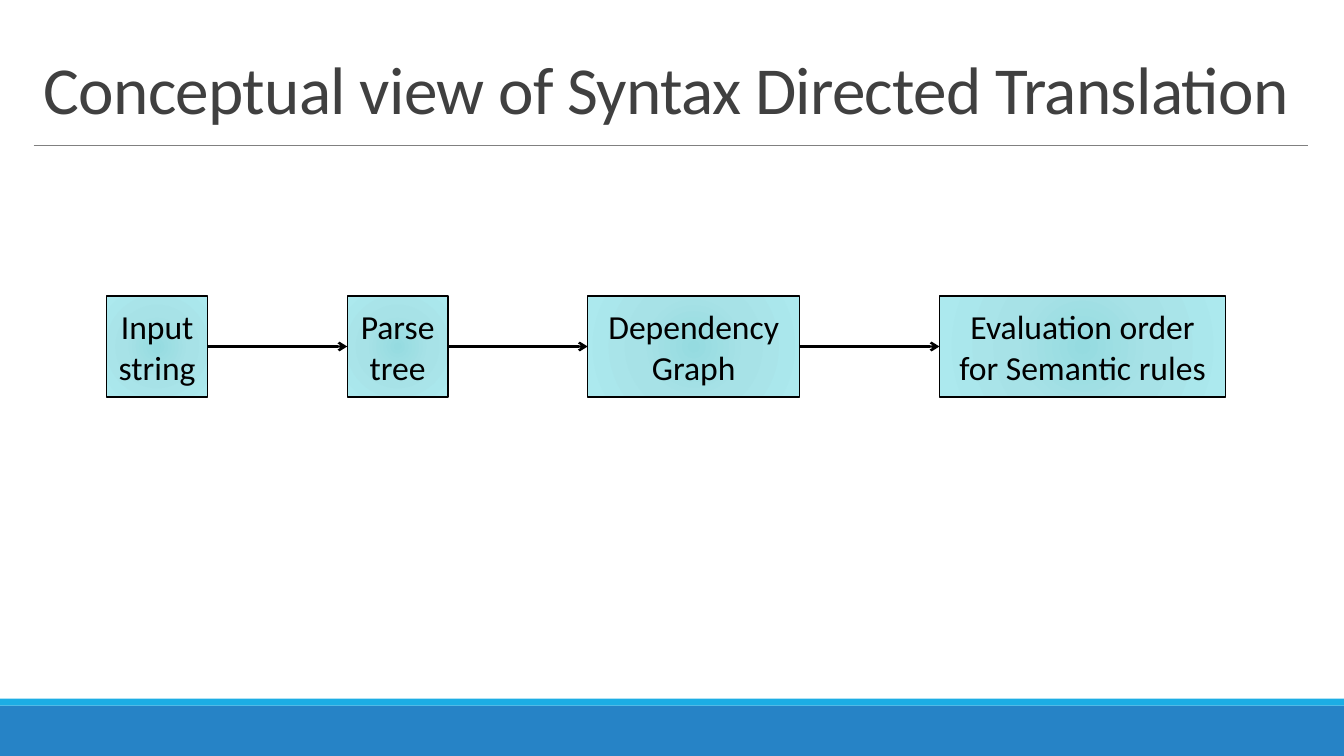
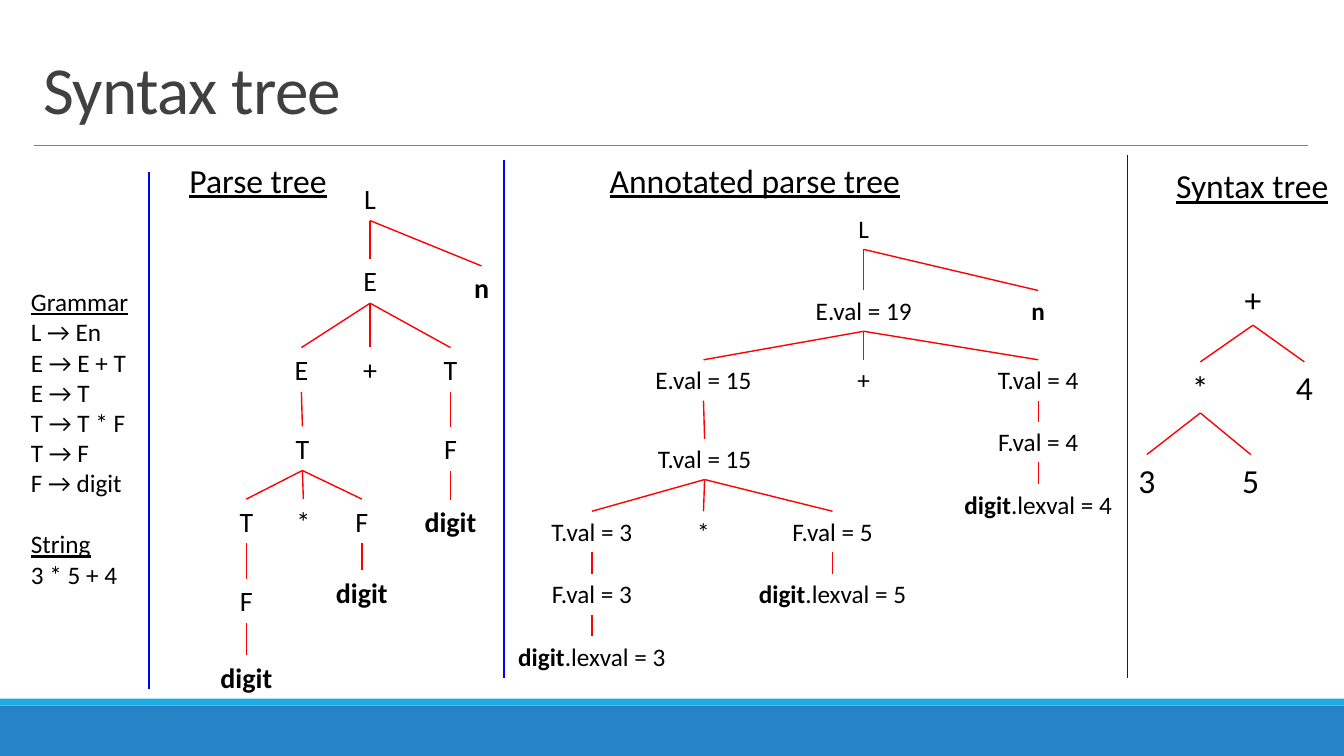
from dataclasses import dataclass

from lxml.etree import SubElement
from pptx import Presentation
from pptx.dml.color import RGBColor
from pptx.enum.shapes import MSO_CONNECTOR, MSO_SHAPE
from pptx.enum.text import MSO_ANCHOR, MSO_AUTO_SIZE, PP_ALIGN
from pptx.oxml import parse_xml
from pptx.oxml.ns import nsdecls, qn
from pptx.util import Pt

FONT = "Calibri"
BLACK, GREY, RULE_GREY = "000000", "404040", "808080"
BAND_BLUE, BAND_CYAN = "2683C6", "1CADE4"
EDGE_RED, DIVIDER_BLUE = "FF0000", "0000FF"
STAGE_STOPS = [(0, "95DBE0"), (45, "A7E2E7"), (100, "ACE9EE")]
TERMINALS = ("n", "digit")
TOP, LEFT, BOTTOM, RIGHT = range(4)
WIDTH, HEIGHT = 960, 540


@dataclass
class Node:
    label: str
    centre: float
    top: float
    children: tuple = ()


PARSE_TREE = Node("L", 264.4, 126, (
    Node("E", 264.4, 185, (
        Node("E", 215.3, 248.3, (
            Node("T", 216, 304.5, (
                Node("T", 176, 356.5, (
                    Node("F", 176, 413.3, (Node("digit", 176, 468),)),)),
                Node("*", 216.7, 356.5),
                Node("F", 258.5, 356.5, (Node("digit", 258.5, 407.5),)))),)),
        Node("+", 264.4, 248),
        Node("T", 321.8, 248.3, (
            Node("F", 321.8, 305, (Node("digit", 321.8, 357),)),)))),
    Node("n", 344, 190)))

ANNOTATED_TREE = Node("L", 617, 149, (
    Node("E.val = 19", 617, 207.5, (
        Node("E.val = 15", 502.5, 257, (
            Node("T.val = 15", 503.3, 313.4, (
                Node("T.val = 3", 422.8, 365.2, (
                    Node("F.val = 3", 422.8, 409.8, (
                        Node("digit.lexval = 3", 422.8, 454.2),)),)),
                Node("*", 502.5, 365.2),
                Node("F.val = 5", 594.7, 365.2, (
                    Node("digit.lexval = 5", 594.7, 409.8),)))),)),
        Node("+", 617, 257),
        Node("T.val = 4", 741.6, 257, (
            Node("F.val = 4", 741.6, 301.2, (
                Node("digit.lexval = 4", 741.6, 345.8),)),)))),
    Node("n", 741.6, 207.5)))

SYNTAX_TREE = Node("+", 895, 195.8, (
    Node("*", 857.4, 258.5, (
        Node("3", 819.2, 324.7),
        Node("5", 893.4, 324.7))),
    Node("4", 931.7, 258.5)))


def colour(code):
    return RGBColor.from_string(code)


def add_span(para, text, size, code=BLACK, bold=False, underline=False):
    span = para.add_run()
    span.text = text
    font = span.font
    font.name, font.size = FONT, Pt(size)
    font.bold, font.underline = bold, underline
    font.color.rgb = colour(code)
    return span


def add_text_box(page, left, top, width, height, wrap=True):
    box = page.shapes.add_textbox(Pt(left), Pt(top), Pt(width), Pt(height))
    box.text_frame.word_wrap = wrap
    box.text_frame.auto_size = MSO_AUTO_SIZE.SHAPE_TO_FIT_TEXT
    return box


def line_height(size):
    return round(size * 1.22, 2)


def box_height(size):
    return line_height(size) + 7.2


def add_line(page, start=(0, 0), end=(0, 0), code=BLACK, width=1):
    line = page.shapes.add_connector(
        MSO_CONNECTOR.STRAIGHT, *(Pt(value) for value in (*start, *end)))
    line.line.color.rgb = colour(code)
    line.line.width = Pt(width)
    SubElement(line.element.spPr, qn("a:effectLst"))
    return line


def join(line, first, first_side, second, second_side):
    line.begin_connect(first, first_side)
    line.end_connect(second, second_side)


def add_rectangle(page, left, top, width, height):
    box = page.shapes.add_shape(
        MSO_SHAPE.RECTANGLE, Pt(left), Pt(top), Pt(width), Pt(height))
    box.shadow.inherit = False
    return box


def add_band(page, top, height, code):
    band = add_rectangle(page, 0, top, WIDTH, height)
    band.fill.solid()
    band.fill.fore_color.rgb = colour(code)
    band.line.fill.background()
    return band


def decorate_layout(layout, page):
    for holder in list(layout.placeholders)[1:]:
        layout.shapes.element.remove(holder.element)
    shared = [
        add_band(page, 504, 36, BAND_BLUE),
        add_band(page, 499, 5, BAND_CYAN),
        add_line(page, (24, 103.5), (934, 103.5), RULE_GREY, 0.5),
    ]
    for shape in shared:
        layout.shapes.element.append(shape.element)


def add_title(page, text):
    title = page.shapes.title
    title.left, title.top, title.width, title.height = (
        Pt(value) for value in (24, 22.3, 910, 72.7))
    frame = title.text_frame
    frame.word_wrap = True
    frame.auto_size = MSO_AUTO_SIZE.NONE
    frame.vertical_anchor = MSO_ANCHOR.BOTTOM
    para = frame.paragraphs[0]
    para.alignment = PP_ALIGN.LEFT
    para.line_spacing = 0.85
    span = add_span(para, text, 48, GREY)
    span.font._element.set("spc", "-50")


def fill_radial(box, stops):
    marks = "".join(
        f'<a:gs pos="{place * 1000}"><a:srgbClr val="{code}"/></a:gs>'
        for place, code in stops)
    gradient = parse_xml(
        f'<a:gradFill {nsdecls("a")} rotWithShape="1"><a:gsLst>{marks}</a:gsLst>'
        '<a:path path="circle"><a:fillToRect l="100000" t="100000" '
        'r="100000" b="100000"/></a:path></a:gradFill>')
    box.fill.gradient()
    properties = box.element.spPr
    properties.replace(properties.find(qn("a:gradFill")), gradient)


def add_stage(page, left, width, lines):
    box = add_rectangle(page, left, 211.5, width, 72)
    fill_radial(box, STAGE_STOPS)
    box.line.color.rgb = colour(BLACK)
    box.line.width = Pt(1)
    frame = box.text_frame
    frame.word_wrap = True
    frame.vertical_anchor = MSO_ANCHOR.MIDDLE
    for index, text in enumerate(lines):
        para = frame.add_paragraph() if index else frame.paragraphs[0]
        para.alignment = PP_ALIGN.CENTER
        add_span(para, text, 24)
    return box


def add_arrow(page, first, second):
    arrow = add_line(page, width=1.75)
    join(arrow, first, RIGHT, second, LEFT)
    SubElement(arrow.element.spPr.find(qn("a:ln")), qn("a:tailEnd"), type="arrow")


def add_tree(page, node, size, width):
    box = add_text_box(
        page, node.centre - width / 2, node.top, width, box_height(size))
    para = box.text_frame.paragraphs[0]
    para.alignment = PP_ALIGN.CENTER
    word, dot, value = node.label.partition(".")
    if word in TERMINALS:
        add_span(para, word, size, bold=True)
        if dot:
            add_span(para, dot + value, size)
    else:
        add_span(para, node.label, size)
    for child in node.children:
        child_box = add_tree(page, child, size, width)
        join(add_line(page, code=EDGE_RED), box, BOTTOM, child_box, TOP)
    return box


def add_heading(page, text, left, top, width):
    box = add_text_box(page, left, top, width, box_height(24), wrap=False)
    add_span(box.text_frame.paragraphs[0], text, 24, underline=True)


def add_grammar(page, sections):
    size = 18
    frame = add_text_box(page, 15, 201, 85, 225.4, wrap=False).text_frame
    para = frame.paragraphs[0]
    for index, (heading, lines) in enumerate(sections):
        if index:
            para = frame.add_paragraph()
            para.space_before = Pt(line_height(size))
        add_span(para, heading, size, underline=True)
        for text in lines:
            add_span(frame.add_paragraph(), text, size)


def build_concept_page(page):
    add_title(page, "Conceptual view of Syntax Directed Translation")
    stages = [
        (72, ("Input", "string")),
        (72, ("Parse", "tree")),
        (151.5, ("Dependency", "Graph")),
        (204.5, ("Evaluation order", "for Semantic rules")),
    ]
    left, gap = 76.3, 99.75
    boxes = []
    for width, lines in stages:
        boxes.append(add_stage(page, left, width, lines))
        left += width + gap
    for first, second in zip(boxes, boxes[1:]):
        add_arrow(page, first, second)


def build_tree_page(page):
    add_title(page, "Syntax tree")
    add_grammar(page, [
        ("Grammar", ["L → En", "E → E + T", "E → T", "T → T * F", "T → F",
                     "F → digit"]),
        ("String", ["3 * 5 + 4"]),
    ])
    for x, top, bottom in [(106.5, 123, 492.5), (360, 114.5, 484),
                           (805.5, 111, 484)]:
        add_line(page, (x, top), (x, bottom), DIVIDER_BLUE)
    add_heading(page, "Parse tree", 128.2, 110.5, 113.8)
    add_heading(page, "Annotated parse tree", 428.4, 110.5, 224)
    add_heading(page, "Syntax tree", 833, 114.5, 124.6)
    add_tree(page, PARSE_TREE, 20, 58)
    add_tree(page, ANNOTATED_TREE, 18, 138)
    add_tree(page, SYNTAX_TREE, 24, 36)


def main():
    deck = Presentation()
    deck.slide_width, deck.slide_height = Pt(WIDTH), Pt(HEIGHT)
    layout = deck.slide_layouts[5]
    concept_page = deck.slides.add_slide(layout)
    decorate_layout(layout, concept_page)
    build_concept_page(concept_page)
    build_tree_page(deck.slides.add_slide(layout))
    deck.save("out.pptx")


if __name__ == "__main__":
    main()
